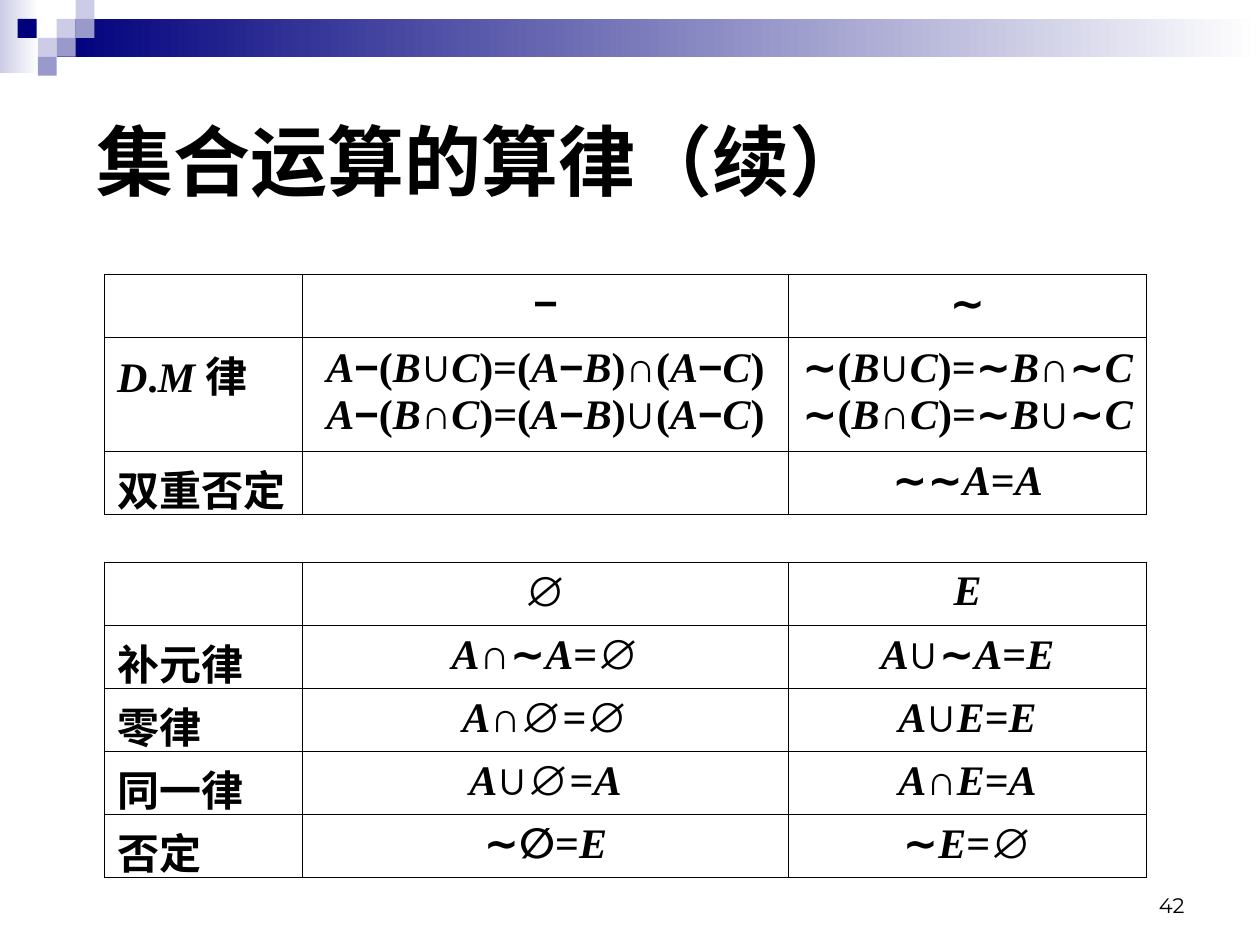
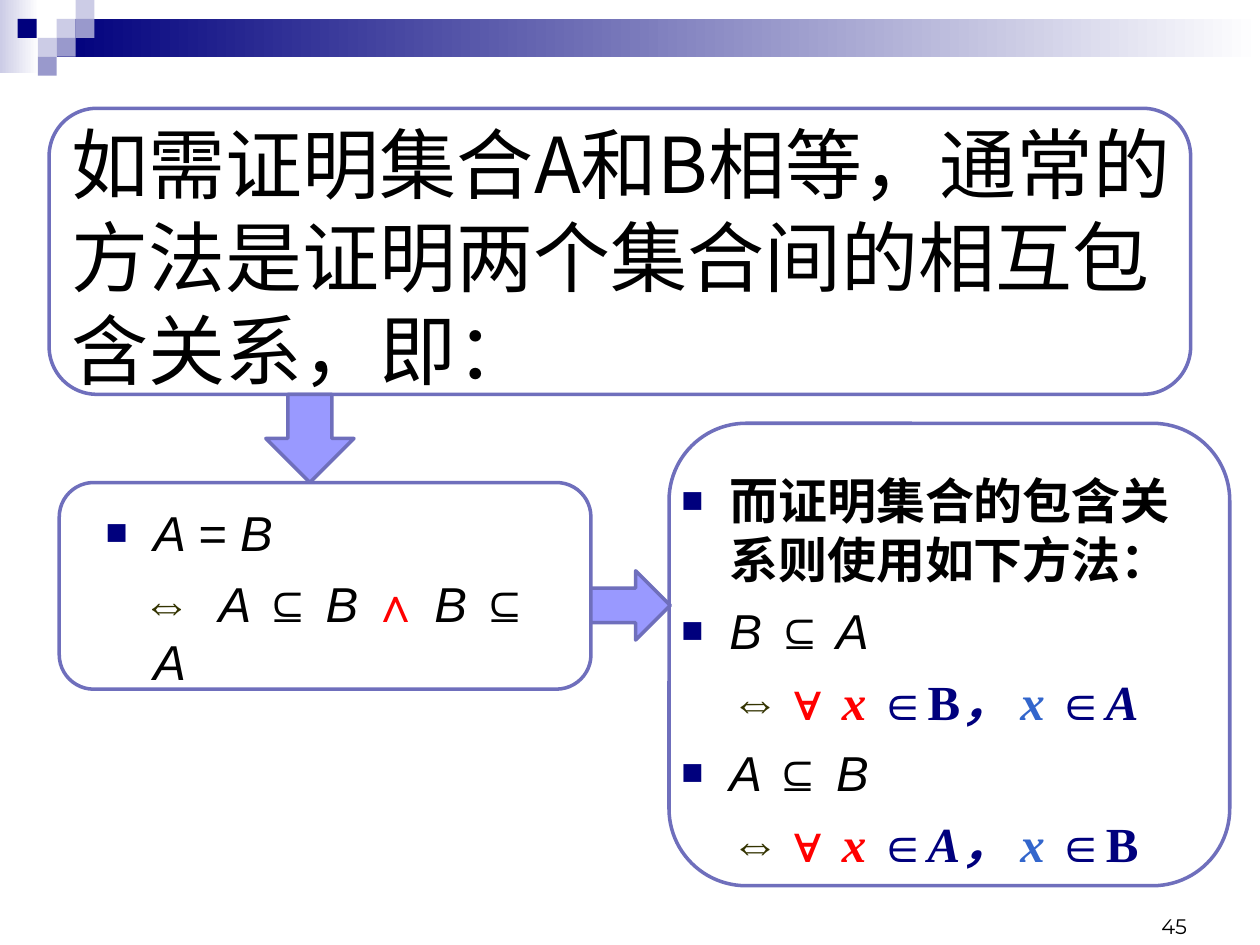
import itertools

import lxml.etree
import pptx
import pptx.dml.color
import pptx.enum.shapes
import pptx.enum.text
import pptx.oxml.ns
import pptx.util

Inches = pptx.util.Inches
Pt = pptx.util.Pt
SHAPE = pptx.enum.shapes.MSO_SHAPE
ALIGN = pptx.enum.text.PP_ALIGN
ANCHOR = pptx.enum.text.MSO_ANCHOR
qn = pptx.oxml.ns.qn

BLACK, WHITE, NAVY, RED = "000000", "FFFFFF", "00007D", "FF0000"
LILAC, VIOLET = "CCCCE6", "9999CC"
OUTLINE, ARROW, OLIVE, BLUE = "6F6FBC", "9999FF", "333300", "3366CC"
SANS, SERIF, CJK, NUMBER = "Arial", "Times New Roman", "Noto Sans CJK SC", "Montserrat"
OPERATORS = "−∼∪∩∅"


def rgb(color):
    return pptx.dml.color.RGBColor.from_string(color)


def add_run(p, text, size=28, font=SANS, color=BLACK, bold=False, italic=False, spacing=None):
    r = p.add_run()
    r.text = text
    r.font.size, r.font.name = Pt(size), font
    r.font.bold, r.font.italic = bold, italic
    r.font.color.rgb = rgb(color)
    rpr = r.font._element
    if spacing:
        rpr.set("spc", str(spacing * 100))
    if any(ch > "\u2e80" for ch in text):
        latin = rpr.find(qn("a:latin"))
        latin.addnext(rpr.makeelement(qn("a:ea"), {"typeface": CJK}))


def add_bullet(p):
    ppr = p._p.get_or_add_pPr()
    color = lxml.etree.SubElement(ppr, qn("a:buClr"))
    lxml.etree.SubElement(color, qn("a:srgbClr"), val=NAVY)
    lxml.etree.SubElement(ppr, qn("a:buSzPct"), val="75000")
    lxml.etree.SubElement(ppr, qn("a:buFont"), typeface=SANS)
    lxml.etree.SubElement(ppr, qn("a:buChar"), char="■")


def set_indent(p, left, first):
    ppr = p._p.get_or_add_pPr()
    ppr.set("marL", str(Inches(left)))
    ppr.set("indent", str(Inches(first)))


def formula_runs(text):
    """Split a formula into runs: sans operators, italic letters, upright rest."""
    def kind(ch):
        if ch in OPERATORS:
            return "operator"
        return "letter" if ch.isascii() and ch.isalpha() else "plain"

    for name, chars in itertools.groupby(text, kind):
        yield "".join(chars), {"font": SANS if name == "operator" else SERIF,
                               "italic": name == "letter"}


def add_borders(cell, color=BLACK, width=0.45):
    tcpr = cell._tc.get_or_add_tcPr()
    for side in ("lnL", "lnR", "lnT", "lnB"):
        ln = lxml.etree.SubElement(tcpr, qn("a:" + side), w=str(Pt(width)))
        fill = lxml.etree.SubElement(ln, qn("a:solidFill"))
        lxml.etree.SubElement(fill, qn("a:srgbClr"), val=color)


class Deck:
    """Holds the presentation, its shared style and the current slide."""

    def __init__(self):
        self.prs = pptx.Presentation()
        self.prs.slide_width, self.prs.slide_height = Inches(10), Inches(7.5)
        self.s = None

    def slide(self):
        self.s = self.prs.slides.add_slide(self.prs.slide_layouts[6])
        self.band(0, 0, 0.31, 0.58, LILAC)
        self.band(0.45, 0.15, 9.55, 0.3, NAVY)
        for x, y, color in ((0.45, 0.15, LILAC), (0.6, 0, LILAC), (0.6, 0.15, VIOLET),
                            (0.3, 0.3, LILAC), (0.14, 0.15, NAVY),
                            (0.45, 0.3, VIOLET), (0.3, 0.45, VIOLET)):
            self.shape(SHAPE.RECTANGLE, x, y, 0.15, 0.15, fill=color)

    def shape(self, kind, x, y, w, h, fill=None, line=None):
        sp = self.s.shapes.add_shape(kind, Inches(x), Inches(y), Inches(w), Inches(h))
        sp.shadow.inherit = False
        if fill:
            sp.fill.solid()
            sp.fill.fore_color.rgb = rgb(fill)
        else:
            sp.fill.background()
        if line:
            sp.line.color.rgb = rgb(line)
            sp.line.width = Pt(2)
        else:
            sp.line.fill.background()
        return sp

    def band(self, x, y, w, h, color):
        """Rectangle fading from the colour to white, left to right."""
        sp = self.shape(SHAPE.RECTANGLE, x, y, w, h)
        sp.fill.gradient()
        sp.fill.gradient_angle = 0
        for stop, value in zip(sp.fill.gradient_stops, (color, WHITE)):
            stop.color.rgb = rgb(value)

    def frame(self, x, y, w, h):
        self.shape(SHAPE.ROUNDED_RECTANGLE, x, y, w, h, line=OUTLINE)

    def text_box(self, x, y, w, h, anchor=ANCHOR.TOP):
        tf = self.s.shapes.add_textbox(Inches(x), Inches(y), Inches(w), Inches(h)).text_frame
        tf.word_wrap = True
        tf.vertical_anchor = anchor
        return tf

    def title(self, text, x, y, w, h, line_pitch=None, **style):
        p = self.text_box(x, y, w, h, ANCHOR.MIDDLE).paragraphs[0]
        if line_pitch:
            p.line_spacing = Pt(line_pitch)
        add_run(p, text, size=44, **style)

    def page_number(self, number, x, y):
        p = self.text_box(x, y, 2.33, 0.5, ANCHOR.BOTTOM).paragraphs[0]
        p.alignment = ALIGN.RIGHT
        add_run(p, str(number), size=12, font=NUMBER)

    def proof(self, x, y, w, h, paragraphs, step_indent):
        """Write (bulleted, runs) paragraphs; steps without a bullet start at step_indent."""
        tf = self.text_box(x, y, w, h)
        for i, (bulleted, runs) in enumerate(paragraphs):
            p = tf.add_paragraph() if i else tf.paragraphs[0]
            p.line_spacing = Pt(33.5)
            if i:
                p.space_before = Pt(7)
            set_indent(p, 0.38, -0.38 if bulleted else step_indent)
            if bulleted:
                add_bullet(p)
            for text, style in runs:
                add_run(p, text, **style)

    def law_table(self, y, heights, rows):
        widths = (1.57, 3.86, 2.84)
        table = self.s.shapes.add_table(len(rows), len(widths), Inches(0.83), Inches(y),
                                        Inches(sum(widths)), Inches(sum(heights))).table
        table.first_row = table.horz_banding = False
        for column, width in zip(table.columns, widths):
            column.width = Inches(width)
        for row, height, texts in zip(table.rows, heights, rows):
            row.height = Inches(height)
            for i, (cell, text) in enumerate(zip(row.cells, texts)):
                add_borders(cell)
                cell.fill.background()
                if text:
                    self.law_cell(cell.text_frame, text, ALIGN.CENTER if i else ALIGN.LEFT)

    def law_cell(self, tf, text, alignment):
        for i, line in enumerate(text.split("\n")):
            p = tf.add_paragraph() if i else tf.paragraphs[0]
            p.alignment = alignment
            for part, style in formula_runs(line):
                add_run(p, part, size=24, bold=True, **style)


def laws_slide(deck):
    deck.slide()
    deck.page_number(42, 7.17, 6.83)
    deck.title("集合运算的算律（续）", 0.67, 0.52, 9, 1.5, bold=True)
    deck.law_table(2.18, (0.5, 0.9, 0.5), (
        ("", "−", "∼"),
        ("D.M 律", "A−(B∪C)=(A−B)∩(A−C)\nA−(B∩C)=(A−B)∪(A−C)",
         "∼(B∪C)=∼B∩∼C\n∼(B∩C)=∼B∪∼C"),
        ("双重否定", "", "∼∼A=A")))
    deck.law_table(4.46, (0.5,) * 5, (
        ("", "∅", "E"),
        ("补元律", "A∩∼A=∅", "A∪∼A=E"),
        ("零律", "A∩∅=∅", "A∪E=E"),
        ("同一律", "A∪∅=A", "A∩E=A"),
        ("否定", "∼∅=E", "∼E=∅")))


def equality_slide(deck):
    deck.slide()
    deck.title("如需证明集合A和B相等，通常的方法是证明两个集合间的相互包含关系，即：",
               0.47, 0.88, 9, 2.3, line_pitch=53, font=CJK)

    bold, italic = {"bold": True}, {"italic": True}
    iff = {"color": OLIVE, "bold": True}
    logic = {"color": RED, "bold": True}
    serif = {"font": SERIF, "bold": True}
    member = {"color": NAVY, "bold": True}

    def inclusion(inner, outer):
        return [(inner + " ", italic), ("⊆", {}), (" " + outer, italic)]

    def set_name(name):
        return name, {**serif, "color": NAVY, "italic": name == "A"}

    def membership(inner, outer):
        return [("⇔ ", iff), ("∀", logic), ("x ", {**serif, **italic, "color": RED}),
                ("∈", member), set_name(inner),
                ("， ", {**serif, **italic, "color": NAVY}),
                ("x ", {**serif, **italic, "color": BLUE}),
                ("∈", member), set_name(outer)]

    deck.proof(0.74, 3.94, 3.67, 1.73, [
        (True, [("A = B", italic)]),
        (False, [("⇔ ", {**iff, "spacing": 4}), ("A ", italic), ("⊆", bold),
                 (" B ", italic), ("∧ ", logic), *inclusion("B", "A")]),
    ], step_indent=-0.09)
    deck.proof(5.31, 3.69, 4.42, 3.44, [
        (True, [("而证明集合的包含关系则使用如下方法：", bold)]),
        (True, inclusion("B", "A")),
        (False, membership("B", "A")),
        (True, inclusion("A", "B")),
        (False, membership("A", "B")),
    ], step_indent=0.01)
    deck.page_number(45, 7.19, 7)

    deck.frame(0.47, 3.83, 4.22, 1.64)
    deck.frame(5.31, 3.36, 4.45, 3.67)
    deck.frame(0.39, 0.86, 9.06, 2.27)
    deck.shape(SHAPE.DOWN_ARROW, 2.11, 3.13, 0.7, 0.7, fill=ARROW, line=OUTLINE)
    deck.shape(SHAPE.RIGHT_ARROW, 4.69, 4.53, 0.63, 0.55, fill=ARROW, line=OUTLINE)


def main():
    deck = Deck()
    laws_slide(deck)
    equality_slide(deck)
    deck.prs.save("out.pptx")


if __name__ == "__main__":
    main()
